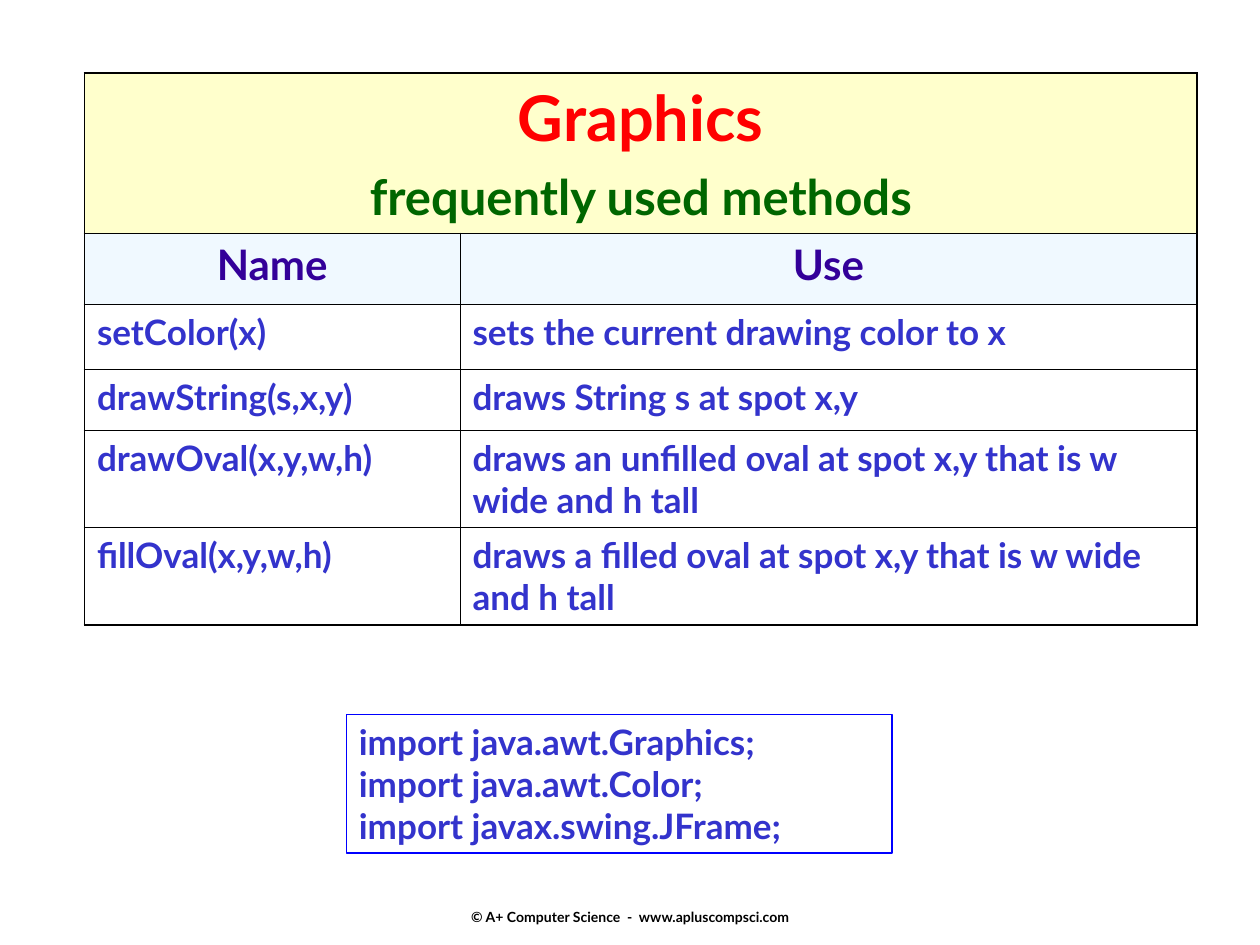
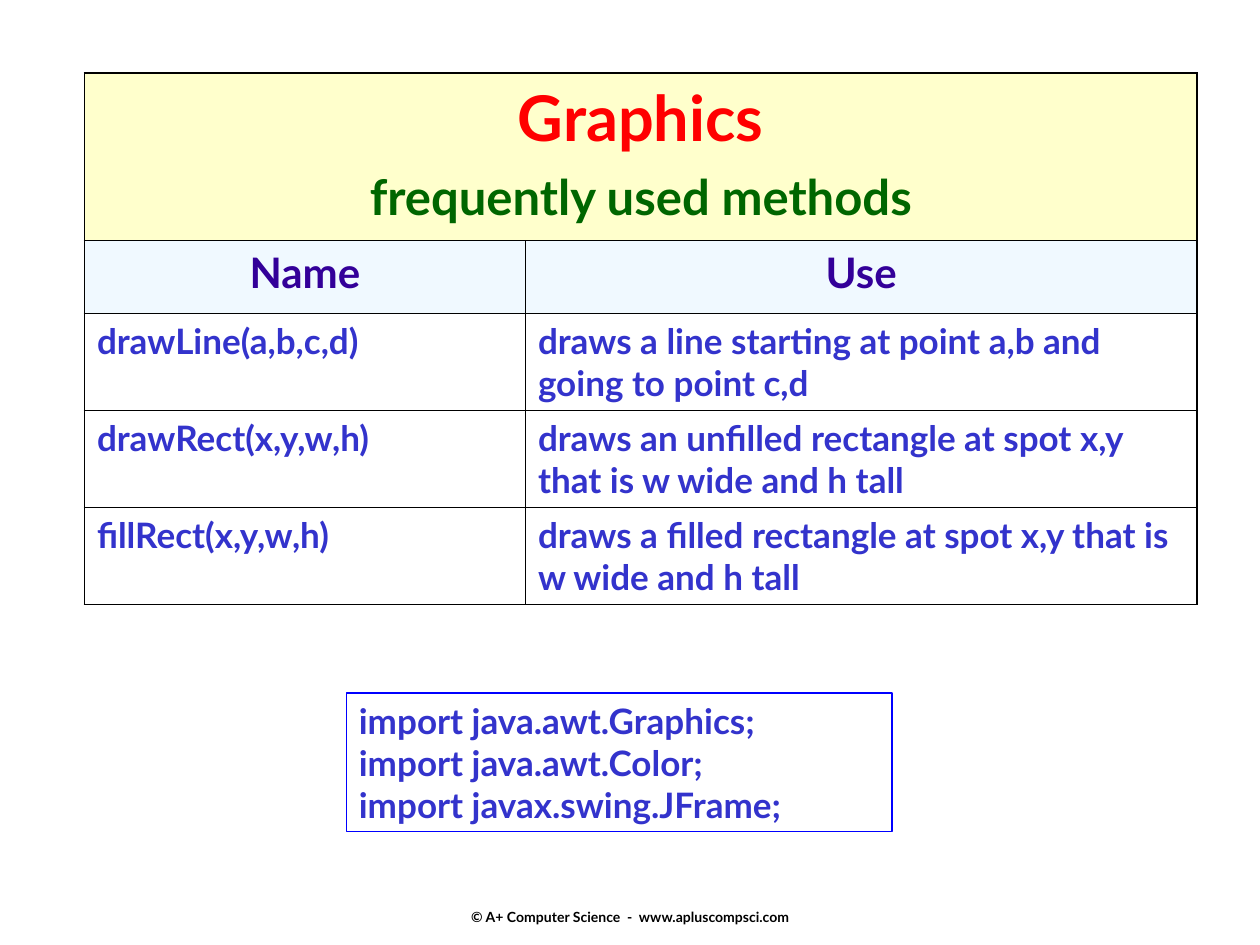
from lxml import etree
from pptx import Presentation
from pptx import util as u
from pptx.dml.color import RGBColor
from pptx.enum import shapes, text
from pptx.oxml.ns import qn

FONT = "Lato"
COLORS = {
    "title": "FF0000",
    "subtitle": "006600",
    "heading": "330099",
    "body": "3333CC",
    "footer": "000000",
    "border": "000000",
    "box_line": "0000FF",
    "title_fill": "FFFFCC",
    "heading_fill": "F0F9FF",
}
THICK, THIN = 1.08, 0.45
IMPORTS = ["import java.awt.Graphics;", "import java.awt.Color;", "import javax.swing.JFrame;"]
FOOTER = "© A+ Computer Science  -  www.apluscompsci.com"


class Deck:
    """Holds the shared style and the current slide."""

    def __init__(self):
        self.prs = Presentation()
        self.prs.slide_width, self.prs.slide_height = u.Inches(10), u.Inches(7.5)
        self.s = None

    def new_slide(self):
        self.s = self.prs.slides.add_slide(self.prs.slide_layouts[6])
        self.footer()

    def format(self, p, size, color, align=text.PP_ALIGN.LEFT):
        p.alignment = align
        for r in p.runs:
            r.font.name, r.font.size, r.font.bold = FONT, u.Pt(size), True
            r.font.color.rgb = RGBColor.from_string(COLORS[color])

    def footer(self):
        sp = self.s.shapes.add_textbox(u.Inches(3.42), u.Inches(7.13), u.Inches(3.17), u.Inches(0.3))
        tf = sp.text_frame
        tf.word_wrap = False
        tf.vertical_anchor = text.MSO_ANCHOR.MIDDLE
        tf.text = FOOTER
        self.format(tf.paragraphs[0], 8, "footer", text.PP_ALIGN.CENTER)

    def borders(self, cell, **widths):
        tc_pr = cell._tc.get_or_add_tcPr()
        for side, width in widths.items():
            ln = etree.SubElement(tc_pr, qn(f"a:ln{side}"), w=str(u.Pt(width)))
            fill = etree.SubElement(ln, qn("a:solidFill"))
            etree.SubElement(fill, qn("a:srgbClr"), val=COLORS["border"])

    def cell_fill(self, cell, color):
        cell.fill.solid()
        cell.fill.fore_color.rgb = RGBColor.from_string(COLORS[color])

    def method_table(self, col_widths, row_heights, methods):
        rows = [("Graphics\nfrequently used methods", ""), ("Name", "Use"), *methods]
        frame = self.s.shapes.add_table(len(rows), 2, u.Inches(0.67), u.Inches(0.58),
                                        u.Inches(sum(col_widths)), u.Inches(sum(row_heights)))
        table = frame.table
        table.first_row = table.horz_banding = False
        for col, width in zip(table.columns, col_widths):
            col.width = u.Inches(width)
        for row, height in zip(table.rows, row_heights):
            row.height = u.Inches(height)
        table.cell(0, 0).merge(table.cell(0, 1))

        last = len(rows) - 1
        for i, row in enumerate(rows):
            for j, value in enumerate(row):
                cell = table.cell(i, j)
                if cell.is_spanned:
                    continue
                cell.text_frame.text = value
                self.borders(cell,
                             L=THICK if j == 0 else THIN,
                             R=THICK if j == 1 or i == 0 else THIN,
                             T=THICK if i == 0 else THIN,
                             B=THICK if i == last else THIN)
                p = cell.text_frame.paragraphs[0]
                if i == 0:
                    self.cell_fill(cell, "title_fill")
                    self.format(p, 36, "title", text.PP_ALIGN.CENTER)
                    subtitle = cell.text_frame.paragraphs[1]
                    subtitle.space_before = u.Pt(7)
                    self.format(subtitle, 28, "subtitle", text.PP_ALIGN.CENTER)
                elif i == 1:
                    self.cell_fill(cell, "heading_fill")
                    self.format(p, 24, "heading", text.PP_ALIGN.CENTER)
                else:
                    cell.fill.background()
                    self.format(p, 20, "body")

    def import_box(self, top):
        sp = self.s.shapes.add_shape(shapes.MSO_SHAPE.RECTANGLE, u.Inches(2.75), u.Inches(top),
                                     u.Inches(4.33), u.Inches(1.1))
        sp.shadow.inherit = False
        sp.fill.background()
        sp.line.color.rgb = RGBColor.from_string(COLORS["box_line"])
        sp.line.width = u.Pt(1)
        tf = sp.text_frame
        tf.word_wrap = True
        tf.auto_size = text.MSO_AUTO_SIZE.SHAPE_TO_FIT_TEXT
        tf.vertical_anchor = text.MSO_ANCHOR.TOP
        tf.text = "\n".join(IMPORTS)
        for p in tf.paragraphs:
            self.format(p, 20, "body")


def main():
    deck = Deck()

    # Colour, text and ovals
    deck.new_slide()
    deck.method_table([2.98, 5.85], [1.27, 0.57, 0.51, 0.49, 0.77, 0.77], [
        ("setColor(x)", "sets the current drawing color to x"),
        ("drawString(s,x,y)", "draws String s at spot x,y"),
        ("drawOval(x,y,w,h)", "draws an unfilled oval at spot x,y that is w wide and h tall"),
        ("fillOval(x,y,w,h)", "draws a filled oval at spot x,y that is w wide and h tall"),
    ])
    deck.import_box(5.67)

    # Lines and rectangles
    deck.new_slide()
    deck.method_table([3.5, 5.33], [1.33, 0.58, 0.77, 0.77, 0.77], [
        ("drawLine(a,b,c,d)", "draws a line starting at point a,b and going to point c,d"),
        ("drawRect(x,y,w,h)", "draws an unfilled rectangle at spot x,y that is w wide and h tall"),
        ("fillRect(x,y,w,h)", "draws a filled rectangle at spot x,y that is w wide and h tall"),
    ])
    deck.import_box(5.5)

    deck.prs.save("out.pptx")


if __name__ == "__main__":
    main()
